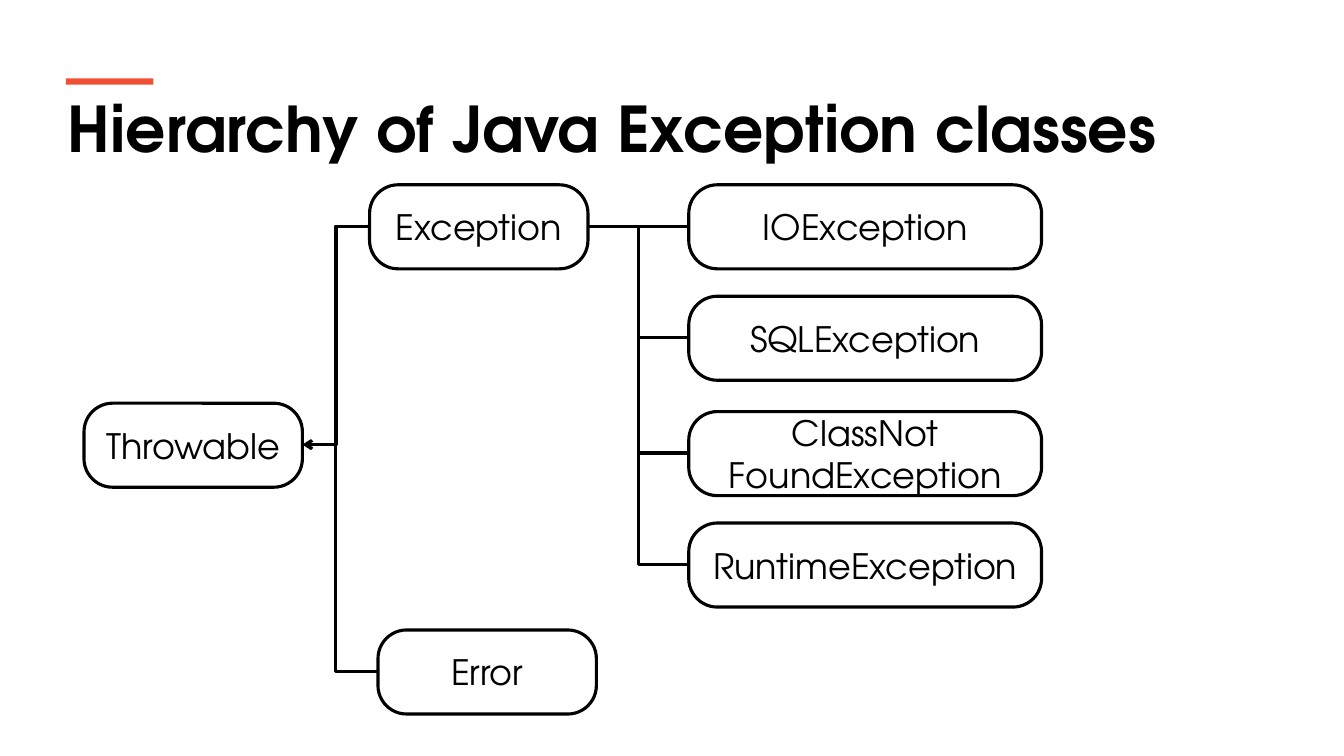
from pptx import Presentation
from pptx.dml.color import RGBColor
from pptx.enum import shapes, text
from pptx.oxml import ns
from pptx.util import Pt
from lxml import etree

# Content
TITLE = "Hierarchy of Java Exception classes"
ROOT = ("Throwable", 60, 288)
ERROR = ("Error", 270, 450)
EXCEPTION = ("Exception", 264, 132)
SUBCLASSES = [("IOException", 132, None), ("SQLException", 211.6, None),
              ("ClassNot FoundException", 294, None),
              ("RuntimeException", 373.6, RGBColor(0xFF, 0xFF, 0xFF))]

# Style, lengths in points
FONT = "TeX Gyre Adventor"
BLACK = RGBColor(0x00, 0x00, 0x00)
ORANGE = RGBColor(0xF0, 0x51, 0x36)
CLASS_W, SUB_W, BOX_H = 156, 252, 60
LINK_Y = 29.6  # links meet a box just above its middle
SUB_X = 492
TRUNK_X = 240
LINE_W = 2.25
LABEL = {"name": FONT, "size": Pt(25), "bold": False}
HEADING = {"name": FONT, "size": Pt(45), "bold": True}

prs = Presentation()
prs.slide_width, prs.slide_height = Pt(960), Pt(540)
s = prs.slides.add_slide(prs.slide_layouts[6])


def write(tf, words, style):
    tf.word_wrap = True
    p = tf.paragraphs[0]
    r = p.add_run()
    r.text = words
    for key, value in style.items():
        setattr(r.font, key, value)
    r.font.color.rgb = BLACK
    return p


def paint(sp, color):
    sp.shadow.inherit = False
    if color is None:
        sp.fill.background()
    else:
        sp.fill.solid()
        sp.fill.fore_color.rgb = color


def add_class(name, x, y, w=CLASS_W, color=None):
    sp = s.shapes.add_shape(shapes.MSO_SHAPE.ROUNDED_RECTANGLE,
                            Pt(x), Pt(y), Pt(w), Pt(BOX_H))
    sp.adjustments[0] = 0.34
    paint(sp, color)
    sp.line.color.rgb = BLACK
    sp.line.width = Pt(LINE_W)
    tf = sp.text_frame
    tf.vertical_anchor = text.MSO_ANCHOR.MIDDLE
    write(tf, name, LABEL).alignment = text.PP_ALIGN.CENTER


def link(x1, y1, x2, y2, bend=0.5, arrow=False):
    kind = shapes.MSO_CONNECTOR.STRAIGHT if y1 == y2 else shapes.MSO_CONNECTOR.ELBOW
    c = s.shapes.add_connector(kind, Pt(x1), Pt(y1), Pt(x2), Pt(y2))
    c.line.color.rgb = BLACK
    c.line.width = Pt(LINE_W)
    props = c._element.spPr
    if bend != 0.5:
        guides = props.find(ns.qn("a:prstGeom")).get_or_add_avLst()
        etree.SubElement(guides, ns.qn("a:gd"), name="adj1",
                         fmla=f"val {round(bend * 100000)}")
    if arrow:
        etree.SubElement(props.find(ns.qn("a:ln")), ns.qn("a:tailEnd"), type="arrow")
    etree.SubElement(props, ns.qn("a:effectLst"))


# Links to the root, both bending at the shared trunk
exc_x, exc_y = EXCEPTION[1], EXCEPTION[2] + LINK_Y
err_x, err_y = ERROR[1], ERROR[2] + LINK_Y
link(exc_x, exc_y, ROOT[1] + CLASS_W, ROOT[2] + LINK_Y, arrow=True)
link(err_x, err_y, exc_x, exc_y, bend=(err_x - TRUNK_X) / (err_x - exc_x))

# Class boxes
for box in (ROOT, ERROR, EXCEPTION):
    add_class(*box)
for name, y, color in SUBCLASSES:
    add_class(name, SUB_X, y, SUB_W, color)

# Links from the subclasses to Exception
for name, y, color in SUBCLASSES:
    link(SUB_X, y + LINK_Y, exc_x + CLASS_W, exc_y)

# Title and accent bar
tb = s.shapes.add_textbox(Pt(41.4), Pt(60.5), Pt(888.5), Pt(62))
write(tb.text_frame, TITLE, HEADING)
bar = s.shapes.add_shape(shapes.MSO_SHAPE.RECTANGLE, Pt(47), Pt(56), Pt(62.6), Pt(4.5))
paint(bar, ORANGE)
bar.line.fill.background()

prs.save("out.pptx")
